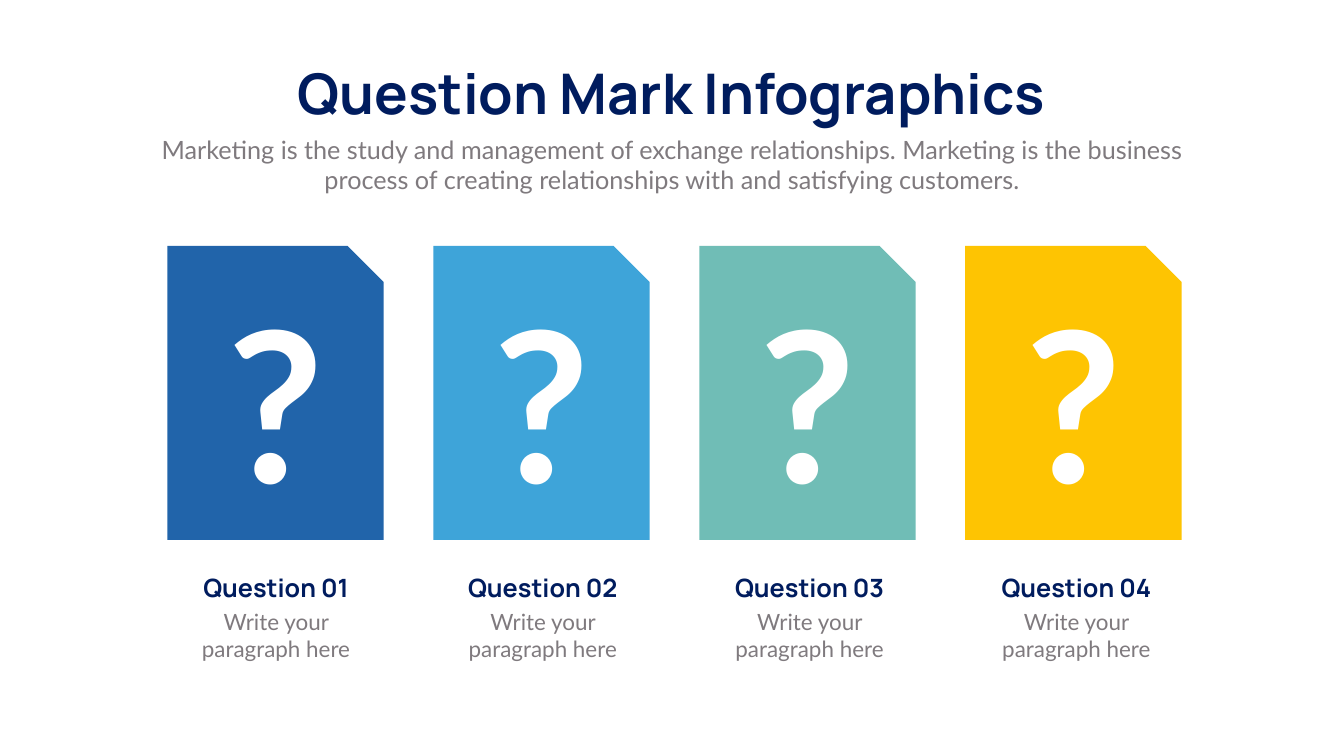
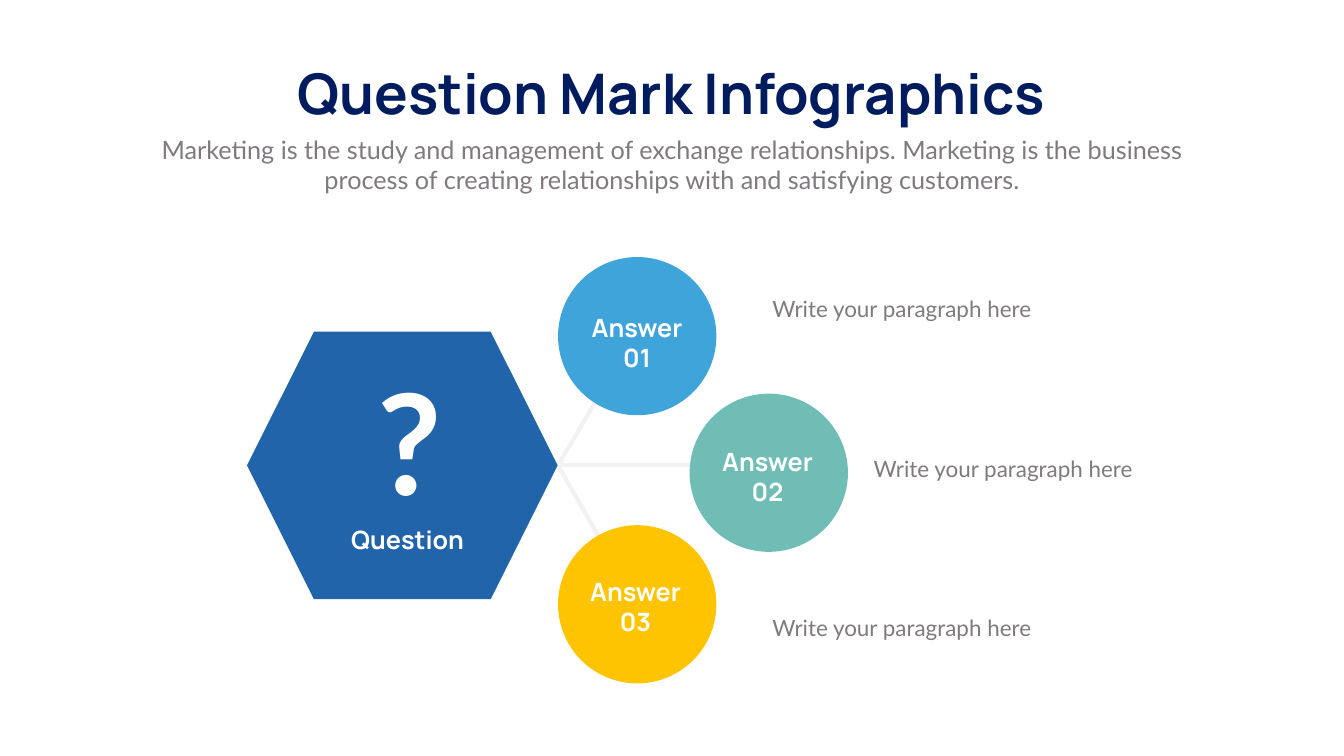
"""Build two question mark infographic slides."""
from dataclasses import dataclass

from lxml import etree
from pptx import Presentation
from pptx import util as u
from pptx.dml.color import RGBColor
from pptx.enum import shapes, text
from pptx.oxml.ns import qn

WIDTH, HEIGHT = u.Inches(26.66), u.Inches(15)
NAVY, GREY, WHITE, PALE = "001C5E", "7F7A7E", "FFFFFF", "F2F2F2"
BLUE, SKY, TEAL, YELLOW = "2164AA", "3EA4D9", "70BDB6", "FEC402"
HEADING = "Question Mark Infographics"
INTRO = ("Marketing is the study and management of exchange relationships. "
         "Marketing is the business process of creating relationships with "
         "and satisfying customers.")
PROMPT = "Write your paragraph here"


@dataclass(frozen=True)
class Area:
    """Position and size in percent of the slide's width and height."""
    left: float
    top: float
    width: float
    height: float

    def shifted(self, step: float) -> "Area":
        """Return this area moved right by a step."""
        return Area(self.left + step, self.top, self.width, self.height)


@dataclass(frozen=True)
class Style:
    """Look of a piece of text."""
    size: int
    font: str
    color: str
    bold: bool = False
    align: text.PP_ALIGN = text.PP_ALIGN.CENTER
    wrap: bool = True


@dataclass(frozen=True)
class Answer:
    """One answer: its circle, label and note positions."""
    number: str
    color: str
    circle: tuple[float, float]
    label: tuple[float, float]
    note: tuple[float, float]


TITLE = Style(80, "Manrope", NAVY, True, wrap=False)
SUBTITLE = Style(36, "Lato", GREY)
CAPTION = Style(36, "Manrope", NAVY, True)
LABEL = Style(36, "Manrope", WHITE, True)
BODY = Style(32, "Lato", GREY)
NOTE = Style(32, "Lato", GREY, align=text.PP_ALIGN.LEFT)
CARD_MARK = Style(300, "Lato", WHITE, True, wrap=False)
HEXAGON_MARK = Style(200, "Lato", WHITE, True, wrap=False)

CARD_COLORS = (BLUE, SKY, TEAL, YELLOW)
CARD_PITCH, CAPTION_PITCH = 19.79, 19.85
HUB = (41.52, 61.53)
SPOKES = (
    (HUB, (47.41, 43.87)),
    (HUB, (47.41, 79.93)),
    ((36.91, 61.53), (51.31, 61.53)),
)
ANSWERS = (
    Answer("01", SKY, (41.52, 34), (42.35, 41), (57.09, 38.73)),
    Answer("02", TEAL, (51.31, 52.07), (52.06, 58.67), (64.63, 59.93)),
    Answer("03", YELLOW, (41.52, 69.47), (42.24, 75.87), (57.09, 80.93)),
)


def rgb(color: str) -> RGBColor:
    """Turn a hex string into a colour."""
    return RGBColor.from_string(color)


def across(share: float) -> int:
    """Convert a percentage of the slide's width to a length."""
    return int(WIDTH * share / 100)


def down(share: float) -> int:
    """Convert a percentage of the slide's height to a length."""
    return int(HEIGHT * share / 100)


def bounds(area: Area) -> tuple[int, int, int, int]:
    """Convert an area to left, top, width and height."""
    return across(area.left), down(area.top), across(area.width), down(area.height)


def write(holder, lines: tuple[str, ...], style: Style) -> None:
    """Fill a text holder with one styled run per paragraph."""
    frame = holder.text_frame
    frame.word_wrap = style.wrap
    frame.auto_size = text.MSO_AUTO_SIZE.NONE
    frame.vertical_anchor = text.MSO_ANCHOR.TOP
    for index, line in enumerate(lines):
        paragraph = frame.add_paragraph() if index else frame.paragraphs[0]
        paragraph.alignment = style.align
        paragraph.space_before = u.Pt(0)
        run = paragraph.add_run()
        run.text = line
        run.font.size = u.Pt(style.size)
        run.font.name = style.font
        run.font.bold = style.bold
        run.font.color.rgb = rgb(style.color)


def add_text(slide, area: Area, style: Style, *lines: str) -> None:
    """Add a text box."""
    write(slide.shapes.add_textbox(*bounds(area)), lines, style)


def add_figure(slide, kind: shapes.MSO_SHAPE, area: Area, color: str) -> None:
    """Add a flat shape without an outline."""
    figure = slide.shapes.add_shape(kind, *bounds(area))
    figure.shadow.inherit = False
    figure.fill.solid()
    figure.fill.fore_color.rgb = rgb(color)
    figure.line.fill.background()


def add_spoke(slide, start: tuple[float, float], end: tuple[float, float]) -> None:
    """Add a pale line between two points."""
    spoke = slide.shapes.add_connector(
        shapes.MSO_CONNECTOR.STRAIGHT,
        across(start[0]), down(start[1]), across(end[0]), down(end[1]))
    spoke.line.color.rgb = rgb(PALE)
    spoke.line.width = u.Pt(6)
    etree.SubElement(spoke._element.spPr, qn("a:effectLst"))


def add_headed_slide(deck):
    """Add a slide with the shared title and introduction."""
    slide = deck.slides.add_slide(deck.slide_layouts[0])
    heading, intro = slide.placeholders
    for holder, area, style, line in (
            (heading, Area(18.38, 7.47, 63.2, 9.67), TITLE, HEADING),
            (intro, Area(10.95, 17.4, 78.1, 8.73), SUBTITLE, INTRO)):
        holder.left, holder.top, holder.width, holder.height = bounds(area)
        write(holder, (line,), style)
    return slide


def build_cards(deck) -> None:
    """Build the slide with four question cards."""
    slide = add_headed_slide(deck)
    card = Area(12.45, 32.53, 16.09, 38.87)
    mark = Area(16.84, 35.87, 7.39, 34.33)
    caption = Area(13.58, 75.4, 13.92, 4.73)
    body = Area(13.58, 80.13, 13.92, 7.87)
    for index, color in enumerate(CARD_COLORS):
        card_step, caption_step = index * CARD_PITCH, index * CAPTION_PITCH
        add_figure(slide, shapes.MSO_SHAPE.SNIP_1_RECTANGLE,
                   card.shifted(card_step), color)
        add_text(slide, mark.shifted(card_step), CARD_MARK, "?")
        add_text(slide, caption.shifted(caption_step), CAPTION,
                 f"Question {index + 1:02d}")
        add_text(slide, body.shifted(caption_step), BODY, PROMPT)


def build_answers(deck) -> None:
    """Build the slide with one question and three answers."""
    slide = add_headed_slide(deck)
    for start, end in SPOKES:
        add_spoke(slide, start, end)
    add_figure(slide, shapes.MSO_SHAPE.HEXAGON,
               Area(18.38, 43.87, 23.11, 35.4), BLUE)
    add_text(slide, Area(27.91, 46.67, 5.18, 23.13), HEXAGON_MARK, "?")
    add_text(slide, Area(23.37, 69, 13.92, 4.73), LABEL, "Question")
    for answer in ANSWERS:
        add_figure(slide, shapes.MSO_SHAPE.OVAL,
                   Area(*answer.circle, 11.78, 20.93), answer.color)
        add_text(slide, Area(*answer.label, 10.09, 8.73), LABEL,
                 "Answer", answer.number)
        add_text(slide, Area(*answer.note, 21.34, 4.27), NOTE, PROMPT)


def main() -> None:
    """Create and save the deck."""
    deck = Presentation()
    deck.slide_width, deck.slide_height = WIDTH, HEIGHT
    build_cards(deck)
    build_answers(deck)
    deck.save("out.pptx")


if __name__ == "__main__":
    main()
